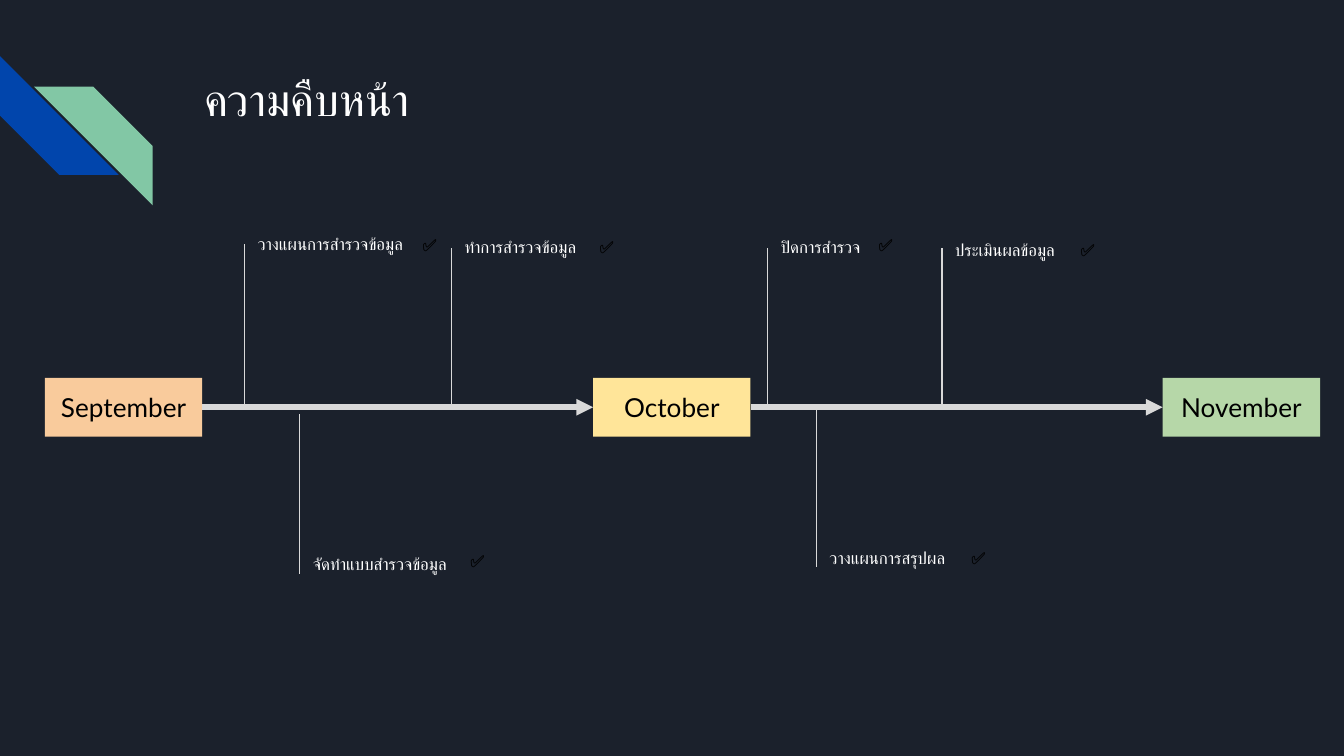
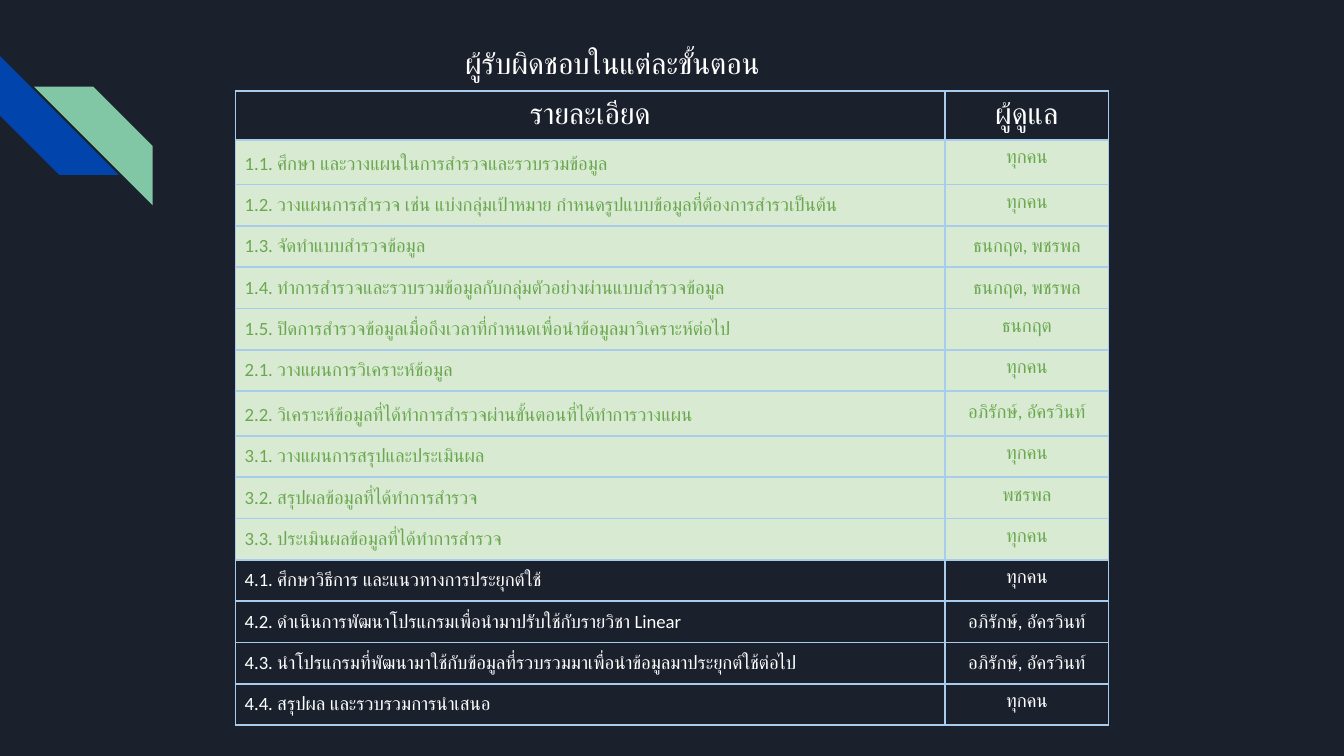
from lxml.etree import SubElement
from pptx import Presentation
from pptx.dml.color import RGBColor
from pptx.enum.shapes import MSO_CONNECTOR, MSO_SHAPE
from pptx.enum.text import MSO_ANCHOR, MSO_AUTO_SIZE, PP_ALIGN
from pptx.oxml.ns import qn
from pptx.util import Pt

NAVY, BLUE, MINT = "1B212C", "0145AC", "82C7A5"
WHITE, BLACK, GRAY = "FFFFFF", "000000", "D9D9D9"
DONE_FILL, DONE_TEXT, GRID = "D9EAD3", "6AA84F", "A8CCEE"
INSET = 7.2
LEFT, CENTER = PP_ALIGN.LEFT, PP_ALIGN.CENTER

AXIS_Y = 218.2
MONTH_W, MONTH_H = 84.3, 31.5
MONTHS = [("September", 24.1, "F9CB9C"), ("October", 317.8, "FFE599"),
          ("November", 622.9, "B6D7A8")]

STEM_LENGTH = 85.5
# text, stem x, stem top, label top, label width, tick x, tick top
MILESTONES = [
    ("วางแผนการสำรวจข้อมูล", 131, 130.8, 119.5, 111, 219.2, 120.4),
    ("จัดทำแบบสำรวจข้อมูล", 160.6, 222, 291.2, 111, 244.8, 289.5),
    ("ทำการสำรวจข้อมูล", 241.8, 132.8, 121.5, 111, 314, 121.5),
    ("ปิดการสำรวจ", 411.2, 132.8, 121.5, 62, 463.5, 120.4),
    ("วางแผนการสรุปผล", 437.3, 218.2, 288, 111, 513.2, 288),
    ("ประเมินผลข้อมูล", 504.6, 132.8, 123.2, 88, 571.7, 123.2),
]

EVERYONE, PAIR_A, PAIR_B = "ทุกคน", "ธนกฤต, พชรพล", "อภิรักษ์, อัครวินท์"
HEADER = ("รายละเอียด", "ผู้ดูแล")
DONE_TASKS = [
    ("1.1. ศึกษา และวางแผนในการสำรวจและรวบรวมข้อมูล", EVERYONE),
    ("1.2. วางแผนการสำรวจ เช่น แบ่งกลุ่มเป้าหมาย กำหนดรูปแบบข้อมูลที่ต้องการสำรวเป็นต้น", EVERYONE),
    ("1.3. จัดทำแบบสำรวจข้อมูล", PAIR_A),
    ("1.4. ทำการสำรวจและรวบรวมข้อมูลกับกลุ่มตัวอย่างผ่านแบบสำรวจข้อมูล", PAIR_A),
    ("1.5. ปิดการสำรวจข้อมูลเมื่อถึงเวลาที่กำหนดเพื่อนำข้อมูลมาวิเคราะห์ต่อไป", "ธนกฤต"),
    ("2.1. วางแผนการวิเคราะห์ข้อมูล", EVERYONE),
    ("2.2. วิเคราะห์ข้อมูลที่ได้ทำการสำรวจผ่านขั้นตอนที่ได้ทำการวางแผน", PAIR_B),
    ("3.1. วางแผนการสรุปและประเมินผล", EVERYONE),
    ("3.2. สรุปผลข้อมูลที่ได้ทำการสำรวจ", "พชรพล"),
    ("3.3. ประเมินผลข้อมูลที่ได้ทำการสำรวจ", EVERYONE),
]
OPEN_TASKS = [
    ("4.1. ศึกษาวิธีการ และแนวทางการประยุกต์ใช้", EVERYONE),
    ("4.2. ดำเนินการพัฒนาโปรแกรมเพื่อนำมาปรับใช้กับรายวิชา Linear", PAIR_B),
    ("4.3. นำโปรแกรมที่พัฒนามาใช้กับข้อมูลที่รวบรวมมาเพื่อนำข้อมูลมาประยุกต์ใช้ต่อไป", PAIR_B),
    ("4.4. สรุปผล และรวบรวมการนำเสนอ", EVERYONE),
]
LOOSE_TASKS = ("1.1.", "2.2.")


def rgb(hex_color):
    return RGBColor.from_string(hex_color)


def points(*lengths):
    return [Pt(length) for length in lengths]


def write(frame, text, font_name, size, color, align=LEFT, spacing=None, scripts=("a:ea", "a:cs")):
    """Fill a text frame with one paragraph, naming the font for the other scripts too."""
    frame.text = text
    paragraph = frame.paragraphs[0]
    paragraph.alignment = align
    if spacing:
        paragraph.line_spacing = spacing
    font = paragraph.runs[0].font
    font.size, font.name = Pt(size), font_name
    font.color.rgb = rgb(color)
    for script in scripts:
        SubElement(paragraph.runs[0]._r.rPr, qn(script), typeface=font_name)


def set_frame(frame, anchor=MSO_ANCHOR.TOP, auto_size=MSO_AUTO_SIZE.NONE):
    frame.word_wrap = True
    frame.auto_size = auto_size
    frame.vertical_anchor = anchor
    frame.margin_left = frame.margin_right = Pt(INSET)
    frame.margin_top = frame.margin_bottom = Pt(INSET)


def add_block(slide, preset, box, fill):
    block = slide.shapes.add_shape(preset, *points(*box))
    block.shadow.inherit = False
    block.fill.solid()
    block.fill.fore_color.rgb = rgb(fill)
    block.line.fill.background()
    return block


def add_line(slide, start, end, width, arrow=False):
    line = slide.shapes.add_connector(MSO_CONNECTOR.STRAIGHT, *points(*start, *end))
    line.line.color.rgb = rgb(GRAY)
    line.line.width = Pt(width)
    if arrow:
        SubElement(line.line._get_or_add_ln(), qn("a:tailEnd"), type="triangle")
    SubElement(line._element.spPr, qn("a:effectLst"))
    return line


def add_label(slide, text, box, color):
    label = slide.shapes.add_textbox(*points(*box))
    set_frame(label.text_frame, auto_size=MSO_AUTO_SIZE.SHAPE_TO_FIT_TEXT)
    write(label.text_frame, text, "Lato", 9, color)


def set_title(slide, text, box, font_name, size, anchor, spacing=None):
    title = slide.shapes.title
    title.left, title.top, title.width, title.height = points(*box)
    set_frame(title.text_frame, anchor)
    write(title.text_frame, text, font_name, size, WHITE, spacing=spacing)


def decorate_layout(layout, slide):
    """Give the layout its background and corner stripes, drawn by way of a slide."""
    layout.background.fill.solid()
    layout.background.fill.fore_color.rgb = rgb(NAVY)
    blue = add_block(slide, MSO_SHAPE.DIAGONAL_STRIPE, (0, 30.1, 63.6, 63.6), BLUE)
    blue.rotation = 270
    mint = add_block(slide, MSO_SHAPE.DIAGONAL_STRIPE, (18.2, 46.4, 63.6, 63.6), MINT)
    mint._element.spPr.get_or_add_xfrm().set("flipH", "1")
    for stripe in (blue, mint):
        stripe.adjustments[0] = 0.5
        layout.shapes.element.append(stripe._element)


def add_months(slide):
    previous = None
    for name, left, fill in MONTHS:
        box = (left, AXIS_Y - MONTH_H / 2, MONTH_W, MONTH_H)
        month = add_block(slide, MSO_SHAPE.RECTANGLE, box, fill)
        set_frame(month.text_frame, MSO_ANCHOR.TOP, MSO_AUTO_SIZE.SHAPE_TO_FIT_TEXT)
        write(month.text_frame, name, "Lato", 14, BLACK, CENTER)
        if previous:
            arrow = add_line(slide, (0, AXIS_Y), (left, AXIS_Y), 3, arrow=True)
            arrow.begin_connect(previous, 3)
            arrow.end_connect(month, 1)
        previous = month


def add_milestone(slide, text, x, stem_top, label_top, width, tick_x, tick_top):
    add_line(slide, (x, stem_top + STEM_LENGTH), (x, stem_top), 0.75)
    add_label(slide, text, (x, label_top, width, 25), WHITE)
    add_label(slide, "✅", (tick_x, tick_top, 25, 25), BLACK)


def format_cell(cell, text, size, color, fill, align, spacing):
    cell.margin_left = cell.margin_right = Pt(5)
    cell.margin_top = cell.margin_bottom = Pt(5)
    write(cell.text_frame, text, "Calibri", size, color, align, spacing, scripts=())
    properties = cell._tc.get_or_add_tcPr()
    for side in ("a:lnL", "a:lnR", "a:lnT", "a:lnB"):
        border = SubElement(properties, qn(side), w=str(Pt(1)))
        SubElement(SubElement(border, qn("a:solidFill")), qn("a:srgbClr"), val=GRID)
    if fill:
        cell.fill.solid()
        cell.fill.fore_color.rgb = rgb(fill)
    else:
        cell.fill.background()


def add_task_table(slide, left, top, widths):
    rows = [(HEADER, 16, WHITE, None)]
    rows += [(task, 10, DONE_TEXT, DONE_FILL) for task in DONE_TASKS]
    rows += [(task, 10, WHITE, None) for task in OPEN_TASKS]
    heights = [23] + [17.5] * (len(rows) - 1)
    table = slide.shapes.add_table(
        len(rows), len(widths), *points(left, top, sum(widths), sum(heights))).table
    table.first_row = table.horz_banding = False
    for column, width in zip(table.columns, widths):
        column.width = Pt(width)
    for row, height, (texts, size, color, fill) in zip(table.rows, heights, rows):
        row.height = Pt(height)
        for index, (cell, text) in enumerate(zip(row.cells, texts)):
            centered = size == 16 or index == 1
            spacing = 1.15 if text.startswith(LOOSE_TASKS) else None
            format_cell(cell, text, size, color, fill, CENTER if centered else LEFT, spacing)


def build_progress(slide):
    set_title(slide, "ความคืบหน้า", (102.2, 31, 554.4, 72), "Montserrat", 24, MSO_ANCHOR.TOP)
    add_months(slide)
    for milestone in MILESTONES:
        add_milestone(slide, *milestone)


def build_owners(slide):
    set_title(slide, "ผู้รับผิดชอบในแต่ละขั้นตอน", (242, 16, 236, 32.4), "Calibri", 16,
              MSO_ANCHOR.MIDDLE, 1.15)
    add_task_table(slide, 126.1, 48.9, (380.2, 87.6))


def main():
    deck = Presentation()
    deck.slide_width, deck.slide_height = points(720, 405)
    title_only = deck.slide_layouts[5]
    progress, owners = [deck.slides.add_slide(title_only) for _ in range(2)]
    decorate_layout(title_only, progress)
    build_progress(progress)
    build_owners(owners)
    deck.save("out.pptx")


if __name__ == "__main__":
    main()
